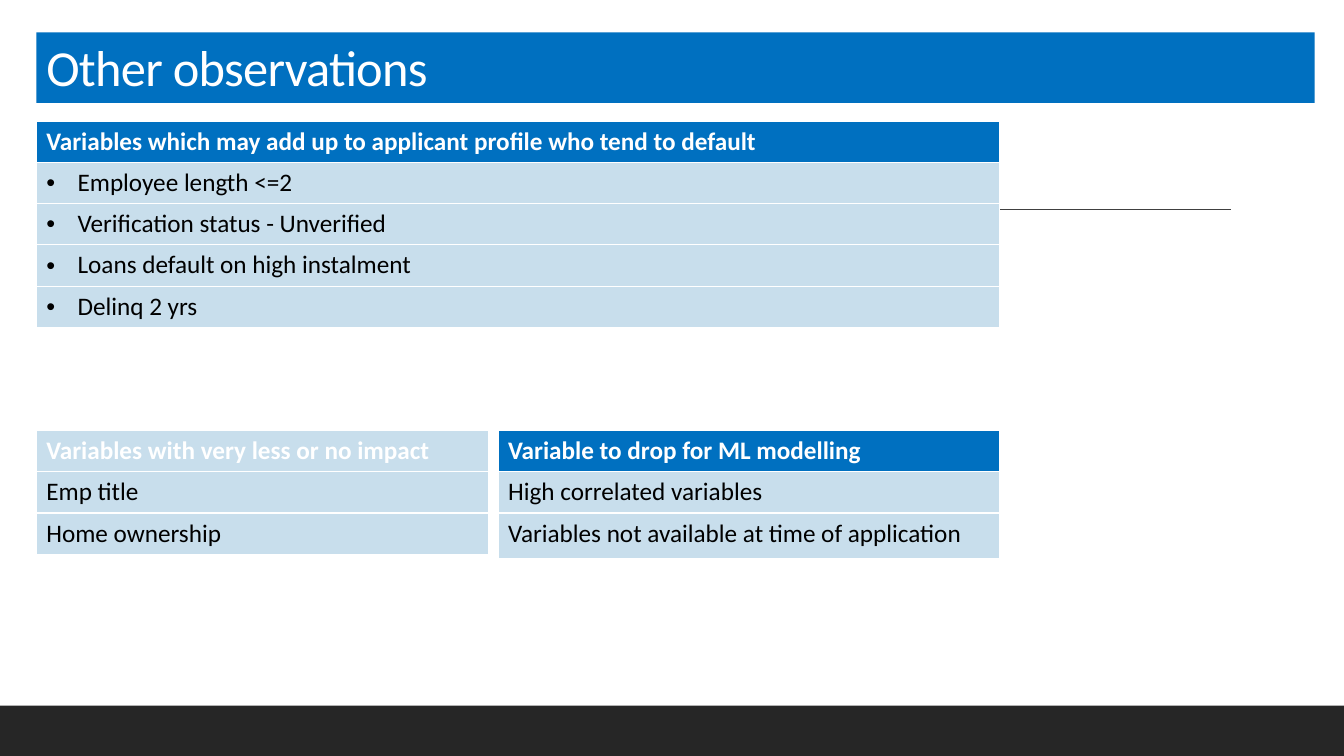
from dataclasses import dataclass
from lxml.etree import SubElement
from pptx import Presentation
from pptx.dml.color import RGBColor as RGB
from pptx.enum.shapes import MSO_CONNECTOR as Link, MSO_SHAPE as Shape
from pptx.enum.text import MSO_ANCHOR as Anchor, MSO_AUTO_SIZE as Fit, PP_ALIGN as Align
from pptx.oxml.ns import qn
from pptx.util import Inches, Pt

TITLE = "Other observations"
PROFILE = [
    "Variables which may add up to applicant profile who tend to default",
    "Employee length <=2",
    "Verification status - Unverified",
    "Loans default on high instalment",
    "Delinq 2 yrs",
]
IMPACT = ["Variables with very less or no impact", "Emp title", "Home ownership"]
DROP = [
    "Variable to drop for ML modelling",
    "High correlated variables",
    "Variables not available at time of application",
]


@dataclass(frozen=True)
class Theme:
    font: str = "Calibri"
    head: int = 36
    body: int = 18
    blue: RGB = RGB(0x00, 0x70, 0xC0)
    pale: RGB = RGB(0xC8, 0xDE, 0xEC)
    dark: RGB = RGB(0x26, 0x26, 0x26)
    rule: RGB = RGB(0x40, 0x40, 0x40)
    white: RGB = RGB(0xFF, 0xFF, 0xFF)
    black: RGB = RGB(0x00, 0x00, 0x00)


theme = Theme()
WIDE, HIGH = 13.33, 7.5
LEFT, SPAN = 0.36, 9.55
ROW, GAP = 0.41, 0.09
FIRST = 4.49
UPPER, LOWER = 1.2, 4.27
INDENT = Inches(0.31)


def style(para, size, color, bold=False):
    font = para.font
    font.name, font.size, font.bold = theme.font, Pt(size), bold
    font.color.rgb = color


def paint(shape, color):
    shape.fill.solid()
    shape.fill.fore_color.rgb = color


def bullet(para):
    props = para._p.get_or_add_pPr()
    props.set("marL", str(INDENT))
    props.set("indent", str(-INDENT))
    SubElement(props, qn("a:buFont"), typeface="Arial")
    SubElement(props, qn("a:buChar"), char="•")


def add_title(slide):
    title = slide.shapes.title
    title.left, title.top = Inches(LEFT), Inches(0.32)
    title.width, title.height = Inches(12.68), Inches(0.7)
    paint(title, theme.blue)
    frame = title.text_frame
    frame.text = TITLE
    frame.auto_size = Fit.NONE
    frame.vertical_anchor = Anchor.BOTTOM
    para = frame.paragraphs[0]
    para.alignment, para.line_spacing = Align.LEFT, 0.9
    style(para, theme.head, theme.white)
    para.runs[0].font._element.set("spc", "-50")


def add_decor(slide):
    """Draw the footer band and the thin rule behind the tables."""
    band = slide.shapes.add_shape(
        Shape.RECTANGLE, 0, Inches(HIGH - 0.5), Inches(WIDE), Inches(0.5))
    band.shadow.inherit = False
    paint(band, theme.dark)
    band.line.fill.background()
    y = Inches(2.08)
    rule = slide.shapes.add_connector(Link.STRAIGHT, Inches(1.31), y, Inches(12.21), y)
    rule.line.color.rgb = theme.rule
    rule.line.width = Pt(1)
    SubElement(rule._element.spPr, qn("a:effectLst"))


def add_list(slide, lines, left, top, width, head, dots=False, last=ROW):
    """Add a one-column table whose first line is its heading."""
    rows = [ROW] * (len(lines) - 1) + [last]
    table = slide.shapes.add_table(
        len(lines), 1, Inches(left), Inches(top), Inches(width), Inches(sum(rows))).table
    table.horz_banding = False
    for i, (line, high) in enumerate(zip(lines, rows)):
        table.rows[i].height = Inches(high)
        cell = table.cell(i, 0)
        cell.text = line
        para = cell.text_frame.paragraphs[0]
        top_row = i == 0
        paint(cell, head if top_row else theme.pale)
        style(para, theme.body, theme.white if top_row else theme.black, top_row)
        if dots and not top_row:
            bullet(para)


def main():
    deck = Presentation()
    deck.slide_width, deck.slide_height = Inches(WIDE), Inches(HIGH)
    slide = deck.slides.add_slide(deck.slide_layouts.get_by_name("Title Only"))
    add_decor(slide)
    add_title(slide)
    add_list(slide, PROFILE, LEFT, UPPER, SPAN, theme.blue, dots=True)
    add_list(slide, IMPACT, LEFT, LOWER, FIRST, theme.pale)
    shift = FIRST + GAP
    add_list(slide, DROP, LEFT + shift, LOWER, SPAN - shift, theme.blue, last=0.45)
    deck.save("out.pptx")


if __name__ == "__main__":
    main()
